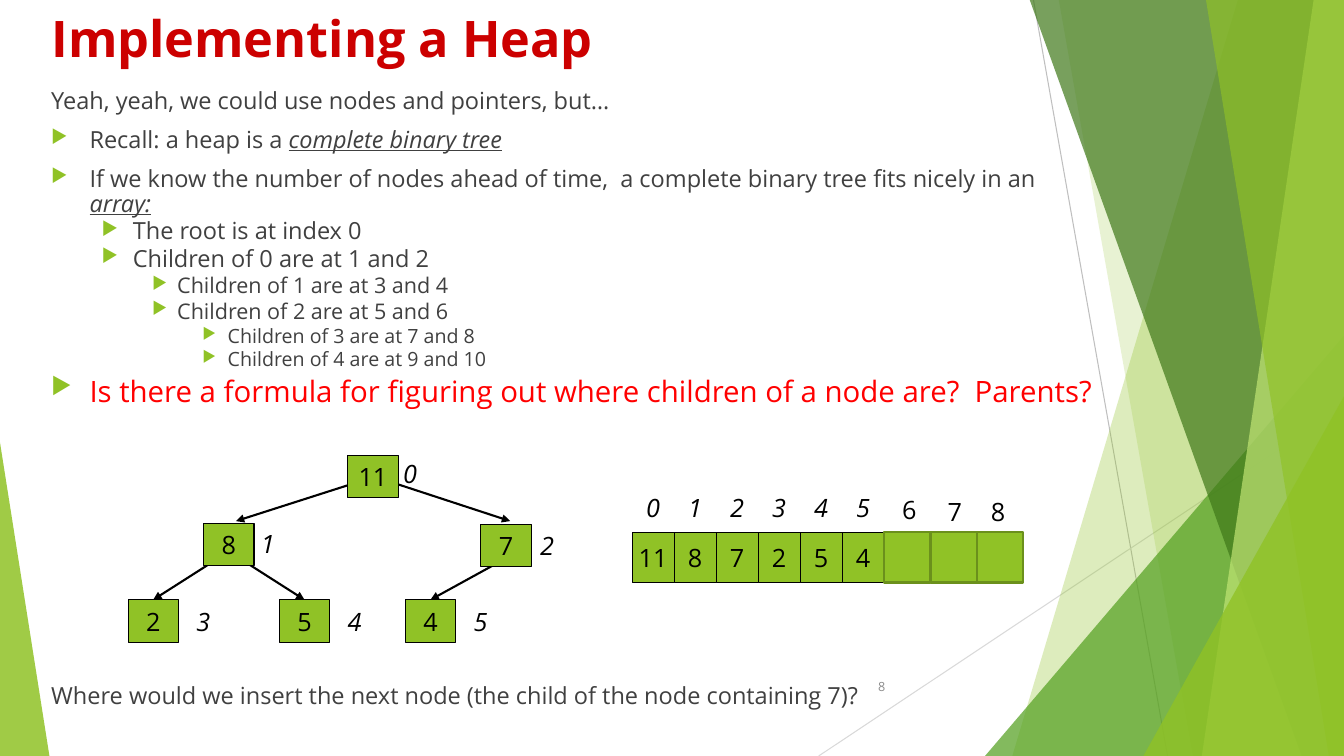
from dataclasses import dataclass
from typing import NamedTuple

from lxml.etree import SubElement
from pptx import Presentation
from pptx.dml.color import RGBColor
from pptx.enum.shapes import MSO_CONNECTOR, MSO_SHAPE as SHAPE
from pptx.enum.text import MSO_ANCHOR as ANCHOR, MSO_AUTO_SIZE as AUTO_SIZE, PP_ALIGN as ALIGN
from pptx.oxml.ns import qn
from pptx.util import Inches, Pt

FONT = "Open Sans"
GREEN, BLACK, GREY, RED = "90C226", "000000", "404040", "FF0000"
TOP, BOTTOM, RIGHT = -0.01, 7.5, 13.33


class Run(NamedTuple):
    text: str
    emphasis: bool = False


class Band(NamedTuple):
    points: list[tuple[float, float]]
    color: str
    opacity: int


class Wedge(NamedTuple):
    left: float
    top: float
    width: float
    apex: int
    color: str
    opacity: int


class Level(NamedTuple):
    margin: float
    hanging: float
    size: float
    before: float


@dataclass
class Bullet:
    runs: list[Run]
    level: Level
    color: str = GREY
    spacing: float = 0.88


@dataclass
class Node:
    value: str
    left: float
    top: float
    index_left: float
    index_top: float


class Edge(NamedTuple):
    start: tuple[float, float]
    end: tuple[float, float]


def rgb(color: str) -> RGBColor:
    return RGBColor.from_string(color)


def paint(shape, color: str, opacity: int = 100, outline: str = "", width: float = 0.75) -> None:
    shape.shadow.inherit = False
    shape.fill.solid()
    shape.fill.fore_color.rgb = rgb(color)
    if opacity < 100:
        srgb = shape.fill._xPr.find(".//" + qn("a:srgbClr"))
        SubElement(srgb, qn("a:alpha"), val=str(opacity * 1000))
    if outline:
        shape.line.color.rgb = rgb(outline)
        shape.line.width = Pt(width)
    else:
        shape.line.fill.background()


def add_run(paragraph, text: str, size: float, color: str,
            italic: bool = False, underline: bool = False, bold: bool = False) -> None:
    run = paragraph.add_run()
    run.text = text
    font = run.font
    font.name, font.size, font.color.rgb = FONT, Pt(size), rgb(color)
    font.italic, font.underline, font.bold = italic, underline, bold


def add_line(start: tuple[float, float], end: tuple[float, float],
             color: str, width: float, arrow: bool = False) -> None:
    line = slide.shapes.add_connector(
        MSO_CONNECTOR.STRAIGHT, *(Inches(v) for v in (*start, *end)))
    line.line.color.rgb = rgb(color)
    line.line.width = Pt(width)
    if arrow:
        SubElement(line.line._get_or_add_ln(), qn("a:tailEnd"), type="triangle")
    SubElement(line._element.spPr, qn("a:effectLst"))


def add_band(band: Band) -> None:
    points = [(Inches(x), Inches(y)) for x, y in band.points]
    builder = slide.shapes.build_freeform(*points[0])
    builder.add_line_segments(points[1:])
    paint(builder.convert_to_shape(), band.color, band.opacity)


def add_wedge(wedge: Wedge) -> None:
    shape = slide.shapes.add_shape(
        SHAPE.ISOSCELES_TRIANGLE, Inches(wedge.left), Inches(wedge.top),
        Inches(wedge.width), Inches(BOTTOM - wedge.top))
    shape.adjustments[0] = wedge.apex
    paint(shape, wedge.color, wedge.opacity)


def add_text_box(left: float, top: float, width: float, height: float, wrap: bool = True):
    frame = slide.shapes.add_textbox(
        Inches(left), Inches(top), Inches(width), Inches(height)).text_frame
    frame.word_wrap = wrap
    return frame


def add_label(text: str, left: float, top: float, width: float, height: float,
              italic: bool = True, size: float = 18, color: str = BLACK, align=ALIGN.CENTER) -> None:
    frame = add_text_box(left, top, width, height, wrap=False)
    frame.vertical_anchor = ANCHOR.MIDDLE
    frame.paragraphs[0].alignment = align
    add_run(frame.paragraphs[0], text, size, color, italic)


def add_box(text: str, left: float, top: float, width: float, height: float,
            outline: str = BLACK, line_width: float = 0.75) -> None:
    box = slide.shapes.add_shape(
        SHAPE.RECTANGLE, Inches(left), Inches(top), Inches(width), Inches(height))
    paint(box, GREEN, outline=outline, width=line_width)
    if text:
        frame = box.text_frame
        frame.word_wrap, frame.vertical_anchor = False, ANCHOR.MIDDLE
        frame.paragraphs[0].alignment = ALIGN.CENTER
        add_run(frame.paragraphs[0], text, 18, BLACK)


def write_bullet(paragraph, bullet: Bullet) -> None:
    level = bullet.level
    paragraph.line_spacing = bullet.spacing
    paragraph.space_before = Pt(level.before)
    if level.hanging:
        props = paragraph._p.get_or_add_pPr()
        props.set("marL", str(Inches(level.margin)))
        props.set("indent", str(-Inches(level.hanging)))
        SubElement(SubElement(props, qn("a:buClr")), qn("a:srgbClr"), val=GREEN)
        SubElement(props, qn("a:buSzPct"), val="80000")
        SubElement(props, qn("a:buChar"), char="▶")
    for run in bullet.runs:
        add_run(paragraph, run.text, level.size, bullet.color, run.emphasis, run.emphasis)


INTRO = Level(0, 0, 16.8, 10)
MAIN = Level(0.38, 0.38, 16.8, 10)
QUESTION = Level(0.38, 0.38, 21, 10)
ROOT = Level(0.81, 0.31, 16.8, 2)
CHILD = Level(1.25, 0.25, 15.4, 2)
GRANDCHILD = Level(1.75, 0.25, 14, 2)

BULLETS = [
    Bullet([Run("Yeah, yeah, we could use nodes and pointers, but…")], INTRO),
    Bullet([Run("Recall: a heap is a "), Run("complete binary tree", True)], MAIN),
    Bullet([Run("If we know the number of nodes ahead of time,  a complete binary tree "
                "fits nicely in an "), Run("array:", True)], MAIN),
    Bullet([Run("The root is at index 0")], ROOT),
    *(Bullet([Run(f"Children of {parent} are at {2 * parent + 1} and {2 * parent + 2}")], level)
      for parent, level in enumerate([ROOT, CHILD, CHILD, GRANDCHILD, GRANDCHILD])),
    Bullet([Run("Is there a formula for figuring out where children of a node are?  Parents?")],
           QUESTION, RED, 0.62),
]


def right_band(top_x: float, bottom_x: float, color: str, opacity: int) -> Band:
    return Band([(top_x, TOP), (RIGHT, TOP), (RIGHT, BOTTOM), (bottom_x, BOTTOM), (top_x, TOP)],
                color, opacity)


BACKDROP = [
    right_band(12.28, 10.04, GREEN, 30),
    right_band(10.5, 11.83, GREEN, 20),
    Wedge(9.77, 3.33, 3.56, 1, "54A021", 72),
    right_band(10.21, 12.91, "3F7819", 70),
    right_band(13.03, 11.92, "C0E474", 70),
    right_band(11.96, 13.18, GREEN, 65),
    Wedge(11.34, 3.93, 1.99, 1, GREEN, 80),
    Wedge(0, 4.39, 0.49, 0, GREEN, 85),
]

HEAP = [
    Node("11", 3.45, 4.52, 3.9, 4.49),
    Node("8", 2.02, 5.19, 2.49, 5.18),
    Node("7", 4.77, 5.2, 5.26, 5.2),
    Node("2", 1.27, 5.95, 1.85, 5.95),
    Node("5", 2.77, 5.95, 3.35, 5.95),
    Node("4", 4.02, 5.95, 4.6, 5.95),
]
EDGES = [
    Edge((3.65, 4.75), (2.34, 5.17)),
    Edge((3.81, 4.76), (5.06, 5.17)),
    Edge((2.44, 5.58), (3.02, 5.95)),
    Edge((2.1, 5.58), (1.52, 5.95)),
    Edge((4.98, 5.56), (4.27, 5.95)),
]
ARRAY_LEFT, ARRAY_TOP, CELL_WIDTH, CELL_HEIGHT = 6.27, 5.28, 2.5 / 6, 0.5
FREE_LEFT, FREE_WIDTH = 8.77, 0.46
FREE_INDEXES = [("6", 8.85, 4.85), ("7", 9.3, 4.87), ("8", 9.73, 4.87)]

prs = Presentation()
prs.slide_width, prs.slide_height = Inches(RIGHT), Inches(BOTTOM)
slide = prs.slides.add_slide(prs.slide_layouts[5])

add_line((10.25, 0), (11.58, BOTTOM), "BFBFBF", 0.75)
add_line((RIGHT, 4.03), (8.12, BOTTOM), "D9D9D9", 0.75)
for part in BACKDROP:
    if isinstance(part, Band):
        add_band(part)
    else:
        add_wedge(part)

title = slide.shapes.title
title.left, title.top, title.width, title.height = Inches(0.41), 0, Inches(10.76), Inches(0.75)
title.text_frame.auto_size = AUTO_SIZE.NONE
title.text_frame.vertical_anchor = ANCHOR.MIDDLE
title.text_frame.paragraphs[0].alignment = ALIGN.LEFT
add_run(title.text_frame.paragraphs[0], "Implementing a Heap", 36, "CC0000", bold=True)

add_label("8", 7.88, 6.61, 1, 0.4, False, 9, "8C8C8C", ALIGN.RIGHT)
outline = add_text_box(0.41, 0.84, 10.63, 3.6)
for position, bullet in enumerate(BULLETS):
    write_bullet(outline.add_paragraph() if position else outline.paragraphs[0], bullet)
closing = add_text_box(0.41, 6.71, 10.63, 0.42)
add_run(closing.paragraphs[0],
        "Where would we insert the next node (the child of the node containing 7)?", 16.8, GREY)

for edge in EDGES:
    add_line(edge.start, edge.end, BLACK, 1.5, arrow=True)
for index, node in enumerate(HEAP):
    add_box(node.value, node.left, node.top, 0.5, 0.42)
    add_label(str(index), node.index_left, node.index_top, 0.33, 0.42)
    cell_left = ARRAY_LEFT + index * CELL_WIDTH
    add_box(node.value, cell_left, ARRAY_TOP, CELL_WIDTH, CELL_HEIGHT)
    add_label(str(index), cell_left, ARRAY_TOP - CELL_HEIGHT, CELL_WIDTH, CELL_HEIGHT)
for slot, (index, left, top) in enumerate(FREE_INDEXES):
    add_box("", FREE_LEFT + slot * FREE_WIDTH, ARRAY_TOP, FREE_WIDTH, CELL_HEIGHT, "6B901C", 1.5)
    add_label(index, left, top, 0.34, 0.4, italic=False)

prs.save("out.pptx")
